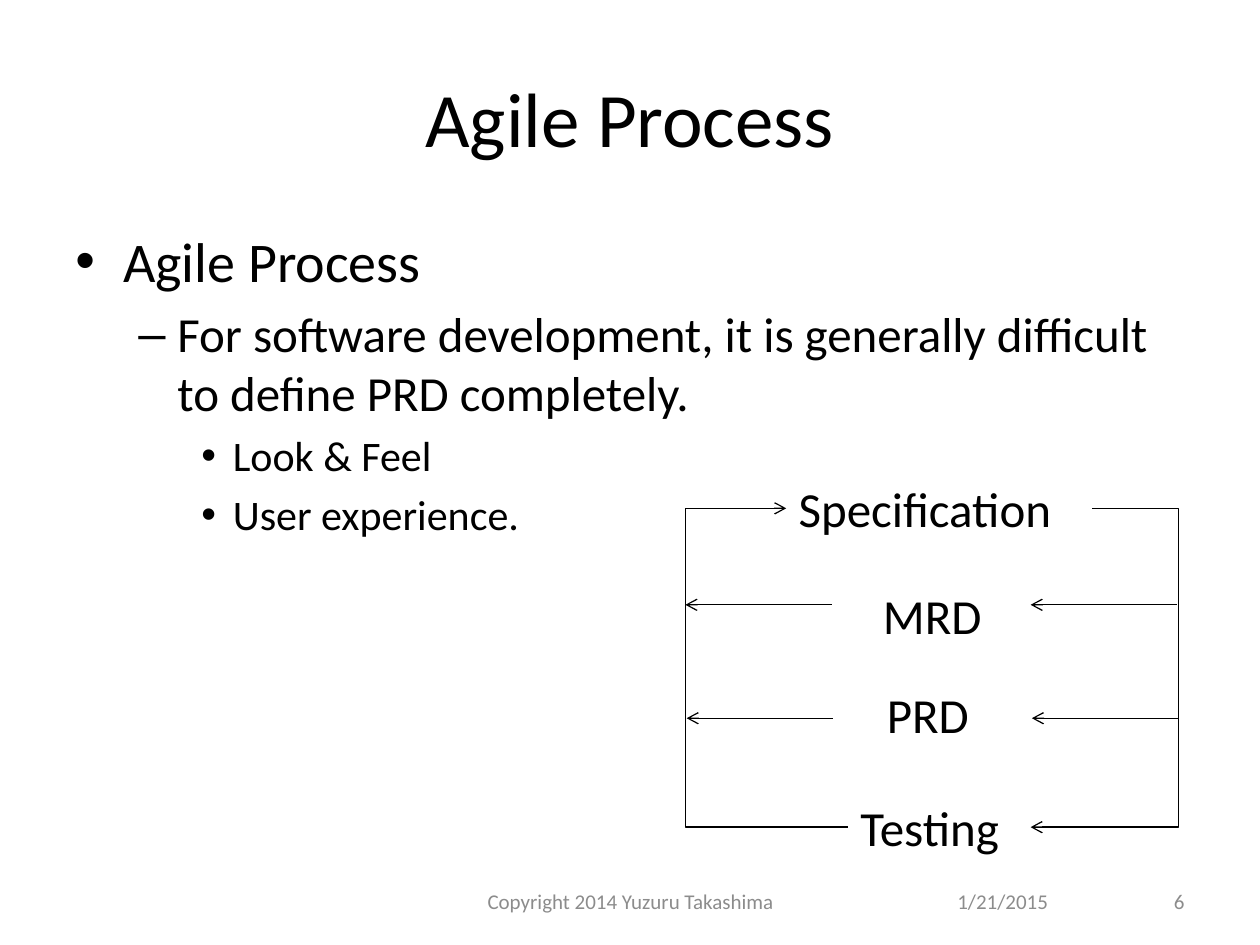
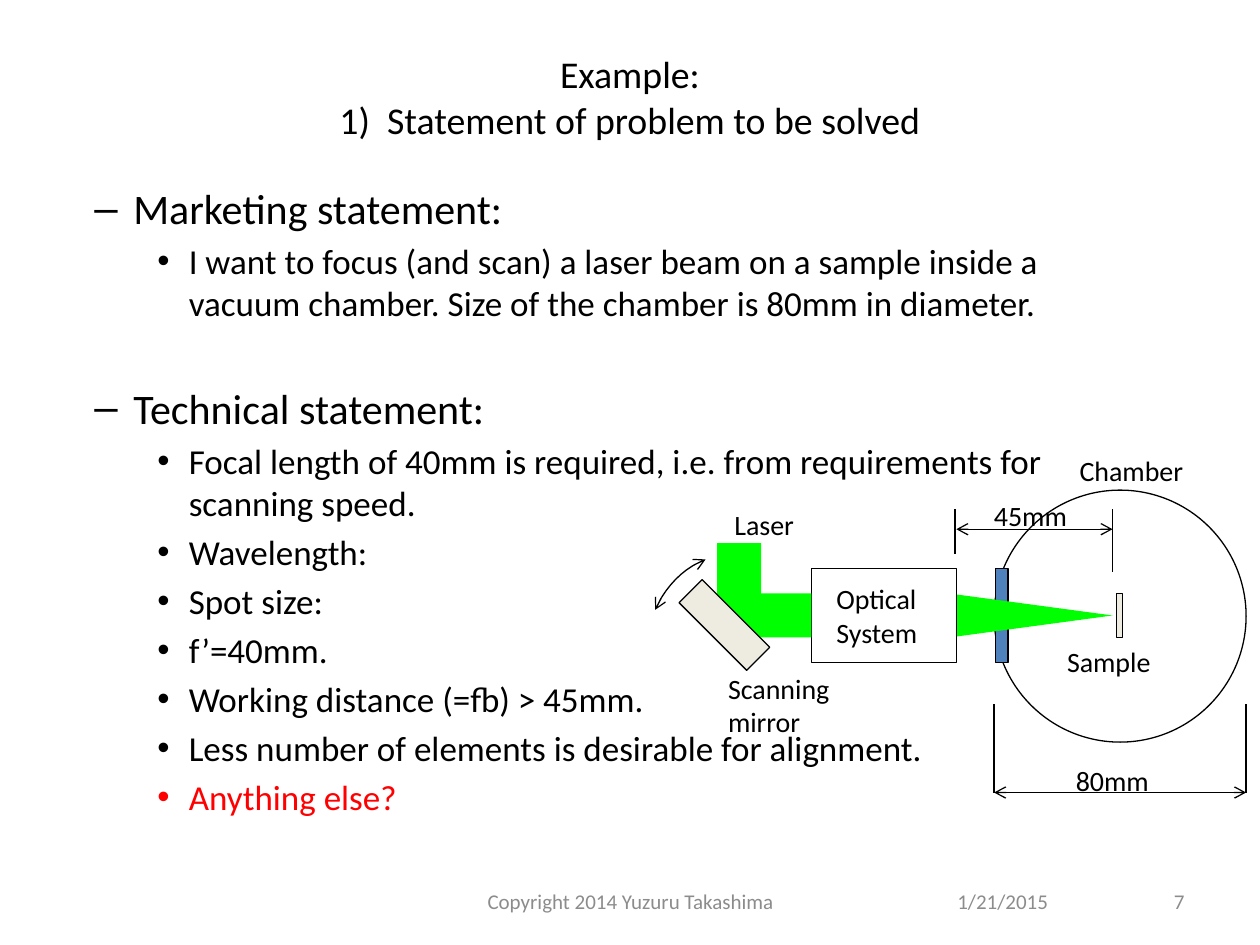
from pptx import Presentation
from pptx.dml.color import RGBColor
from pptx.enum.shapes import MSO_CONNECTOR as CONN, MSO_SHAPE as SHAPE
from pptx.enum.text import MSO_ANCHOR as ANCHOR, MSO_AUTO_SIZE as AUTO, PP_ALIGN as ALIGN
from pptx.oxml.ns import qn
from pptx.util import Inches, Pt
from lxml.etree import SubElement

FONT = "Calibri"
BLACK = RGBColor(0, 0, 0)
WHITE = RGBColor(255, 255, 255)
GRAY = RGBColor(0x8C, 0x8C, 0x8C)
RED = RGBColor(255, 0, 0)
GREEN = RGBColor(0, 255, 0)
BLUE = RGBColor(0x4F, 0x81, 0xBD)
CREAM = RGBColor(0xEE, 0xEC, 0xE1)
LINE_WIDTH = Pt(0.75)

# Shared footer and outline levels: (left margin, hanging indent, bullet)
FOOTER_TOP, FOOTER_H = 6.95, 0.4
DATE = "1/21/2015"
COPYRIGHT = "Copyright 2014 Yuzuru Takashima"
LEVELS = [(0.38, 0.38, "•"), (0.81, 0.31, "–"), (1.25, 0.25, "•")]

# Slide 1: outline items are (level, text, size, options)
AGILE_OUTLINE = [
    (0, "Agile Process", 32, {}),
    (1, "For software development, it is generally difficult to define PRD completely.", 28, {}),
    (2, "Look & Feel", 24, {}),
    (2, "User experience.", 24, {}),
]
STAGES = [("Specification", 6.24, 3.75, 2.43), ("MRD", 6.91, 4.6, 1.1),
          ("PRD", 6.94, 5.38, 1.03), ("Testing", 6.73, 6.28, 1.45)]
# Feedback arrows: (right end, y), all the same length
FEEDBACK = [(9.34, 4.8), (9.35, 5.7), (6.6, 4.8), (6.61, 5.7)]
FEEDBACK_LEN = 1.16

# Slide 2
EXAMPLE_TITLE = "Example:\v1)  Statement of problem to be solved"
EXAMPLE_OUTLINE = [
    (1, "Marketing statement:", 24, {}),
    (2, "I want to focus (and scan) a laser beam on a sample inside a vacuum chamber. "
        "Size of the chamber is 80mm in diameter.", 20, {}),
    (1, "Technical statement:", 24, {"before": 33.2}),
    (2, "Focal length of 40mm is required, i.e. from requirements for scanning speed.", 20, {}),
    (2, "Wavelength:", 20, {}),
    (2, "Spot size:", 20, {}),
    (2, "f’=40mm.", 20, {}),
    (2, "Working distance (=fb) > 45mm.", 20, {}),
    (2, "Less number of elements is desirable for alignment.", 20, {}),
    (2, "Anything else?", 20, {"color": RED}),
]
# Optical parts: (preset, box, fill, outlined, rotation)
CHAMBER = (SHAPE.OVAL, (7.89, 3.89, 2, 2), WHITE, True, 0)
WINDOW = (SHAPE.RECTANGLE, (7.9, 4.51, 0.1, 0.75), BLUE, True, 0)
SAMPLE = (SHAPE.RECTANGLE, (8.86, 4.71, 0.05, 0.35), CREAM, True, 0)
FOCUSED_BEAM = (SHAPE.ISOSCELES_TRIANGLE, (7.77, 4.05, 0.45, 1.67), GREEN, False, 90)
OPTICAL_SYSTEM = (SHAPE.RECTANGLE, (6.44, 4.51, 1.15, 0.75), WHITE, True, 0)
BEAM_ACROSS = (SHAPE.RECTANGLE, (5.69, 4.71, 0.75, 0.35), GREEN, False, 0)
BEAM_DOWN = (SHAPE.RECTANGLE, (5.49, 4.51, 0.75, 0.35), GREEN, False, 90)
MIRROR = (SHAPE.RECTANGLE, (5.62, 4.58, 0.26, 0.76), CREAM, True, 315)
OPTICS = [CHAMBER, WINDOW, SAMPLE, FOCUSED_BEAM, OPTICAL_SYSTEM,
          BEAM_ACROSS, BEAM_DOWN, MIRROR]
EXTENSIONS = [(7.89, 5.59, 6.29), (9.89, 5.59, 6.29), (7.58, 4.04, 4.4), (8.83, 4.04, 4.54)]
DIMENSIONS = [(7.89, 9.89, 6.29), (7.59, 8.83, 4.2)]
OPTICS_LABELS = [
    ("80mm", 8.44, 6.01, 0.82, 0.37), ("Optical\nSystem", 6.54, 4.57, 0.94, 0.64),
    ("Laser", 5.73, 3.98, 0.76, 0.37), ("Sample", 8.37, 5.07, 0.95, 0.37),
    ("Chamber", 8.47, 3.55, 1.11, 0.37), ("45mm", 7.79, 3.91, 0.82, 0.37),
    ("Scanning\nmirror", 5.68, 5.28, 1.12, 0.64),
]
SCAN_CURVE = [(5.6, 4.44), (5.42, 4.51), (5.28, 4.66), (5.2, 4.84)]  # Bezier points


def inches(*values):
    return [Inches(v) for v in values]


def write(p, text, size, color=BLACK):
    p.text = text
    for r in p.runs:
        r.font.name, r.font.size, r.font.color.rgb = FONT, Pt(size), color


def add_text(s, text, box, size, color=BLACK, align=ALIGN.LEFT, anchor=ANCHOR.TOP, fit=False):
    sp = s.shapes.add_textbox(*inches(*box))
    tf = sp.text_frame
    tf.word_wrap = not fit
    tf.auto_size = AUTO.SHAPE_TO_FIT_TEXT if fit else AUTO.NONE
    tf.vertical_anchor = anchor
    for i, line in enumerate(text.split("\n")):
        p = tf.add_paragraph() if i else tf.paragraphs[0]
        p.alignment = align
        write(p, line, size, color)
    return sp


def add_outline(s, items, box):
    tf = s.shapes.add_textbox(*inches(*box)).text_frame
    tf.word_wrap = True
    for i, (level, text, size, options) in enumerate(items):
        p = tf.add_paragraph() if i else tf.paragraphs[0]
        write(p, text, size, options.get("color", BLACK))
        p.level = level
        p.space_before = Pt(options.get("before", 0.2 * size))
        margin, hanging, bullet = LEVELS[level]
        pPr = p._p.get_or_add_pPr()
        pPr.set("marL", str(Inches(margin)))
        pPr.set("indent", str(-Inches(hanging)))
        SubElement(pPr, qn("a:buFont"), typeface="Arial")
        SubElement(pPr, qn("a:buChar"), char=bullet)


def style_line(sp, head=False, tail=False):
    sp.line.color.rgb, sp.line.width = BLACK, LINE_WIDTH
    ln = sp.line._get_or_add_ln()
    for end, wanted in (("a:headEnd", head), ("a:tailEnd", tail)):
        if wanted:
            SubElement(ln, qn(end), type="arrow")


def add_line(s, start, end, kind=CONN.STRAIGHT, **arrows):
    c = s.shapes.add_connector(kind, *inches(*start, *end))
    style_line(c, **arrows)
    SubElement(c._element.spPr, qn("a:effectLst"))
    return c


def add_elbow(s, begin, end, side, bend):
    """Join the same side of two boxes; bend is the share of the width to the turn."""
    c = add_line(s, (0, 0), (1, 1), CONN.ELBOW, tail=True)
    c.begin_connect(begin, side)
    c.end_connect(end, side)
    guides = c._element.spPr.find(qn("a:prstGeom")).get_or_add_avLst()
    SubElement(guides, qn("a:gd"), name="adj1", fmla=f"val {round(bend * 100000)}")


def add_part(s, preset, box, fill, outlined, rotation):
    sp = s.shapes.add_shape(preset, *inches(*box))
    sp.shadow.inherit = False
    sp.rotation = rotation
    sp.fill.solid()
    sp.fill.fore_color.rgb = fill
    if outlined:
        style_line(sp)
    else:
        sp.line.fill.background()


def add_curve(s, controls, steps=10):
    a, b, c, d = controls
    points = []
    for i in range(steps + 1):
        t = i / steps
        weights = ((1 - t) ** 3, 3 * t * (1 - t) ** 2, 3 * t * t * (1 - t), t ** 3)
        points.append(inches(*(sum(w * q[axis] for w, q in zip(weights, (a, b, c, d)))
                               for axis in (0, 1))))
    builder = s.shapes.build_freeform(*points[0])
    builder.add_line_segments(points[1:], close=False)
    sp = builder.convert_to_shape()
    sp.shadow.inherit = False
    sp.fill.background()
    style_line(sp, head=True, tail=True)


def add_slide(prs, title, title_size, title_h, number):
    s = prs.slides.add_slide(prs.slide_layouts[6])
    add_text(s, title, (0.5, 0.3, 9, title_h), title_size,
             align=ALIGN.CENTER, anchor=ANCHOR.MIDDLE)
    for text, left, width, align in ((DATE, 7.5, 2.33, ALIGN.LEFT),
                                     (COPYRIGHT, 3.42, 3.17, ALIGN.CENTER),
                                     (str(number), 7.17, 2.33, ALIGN.RIGHT)):
        add_text(s, text, (left, FOOTER_TOP, width, FOOTER_H), 12, GRAY, align, ANCHOR.MIDDLE)
    return s


def build_agile(prs):
    s = add_slide(prs, "Agile Process", 44, 1.25, 6)
    add_outline(s, AGILE_OUTLINE, (0.5, 1.75, 9, 4.95))
    stages = {text: add_text(s, text, (x, y, w, 0.57), 28, fit=True)
              for text, x, y, w in STAGES}
    first, last = stages["Specification"], stages["Testing"]
    add_elbow(s, first, last, 3, -1.4)
    add_elbow(s, last, first, 1, 2.63)
    for x, y in FEEDBACK:
        add_line(s, (x, y), (x - FEEDBACK_LEN, y), tail=True)


def build_example(prs):
    s = add_slide(prs, EXAMPLE_TITLE, 21.6, 0.93, 7)
    add_outline(s, EXAMPLE_OUTLINE, (0.15, 1.4, 9, 5.3))
    for part in OPTICS:
        add_part(s, *part)
    # Dimensions and scan direction
    for x, top, bottom in EXTENSIONS:
        add_line(s, (x, top), (x, bottom))
    for left, right, y in DIMENSIONS:
        add_line(s, (left, y), (right, y), head=True, tail=True)
    add_curve(s, SCAN_CURVE)
    for text, *box in OPTICS_LABELS:
        add_text(s, text, box, 16, fit=True)


def main():
    prs = Presentation()
    prs.slide_width, prs.slide_height = inches(10, 7.5)
    build_agile(prs)
    build_example(prs)
    prs.save("out.pptx")


if __name__ == "__main__":
    main()
